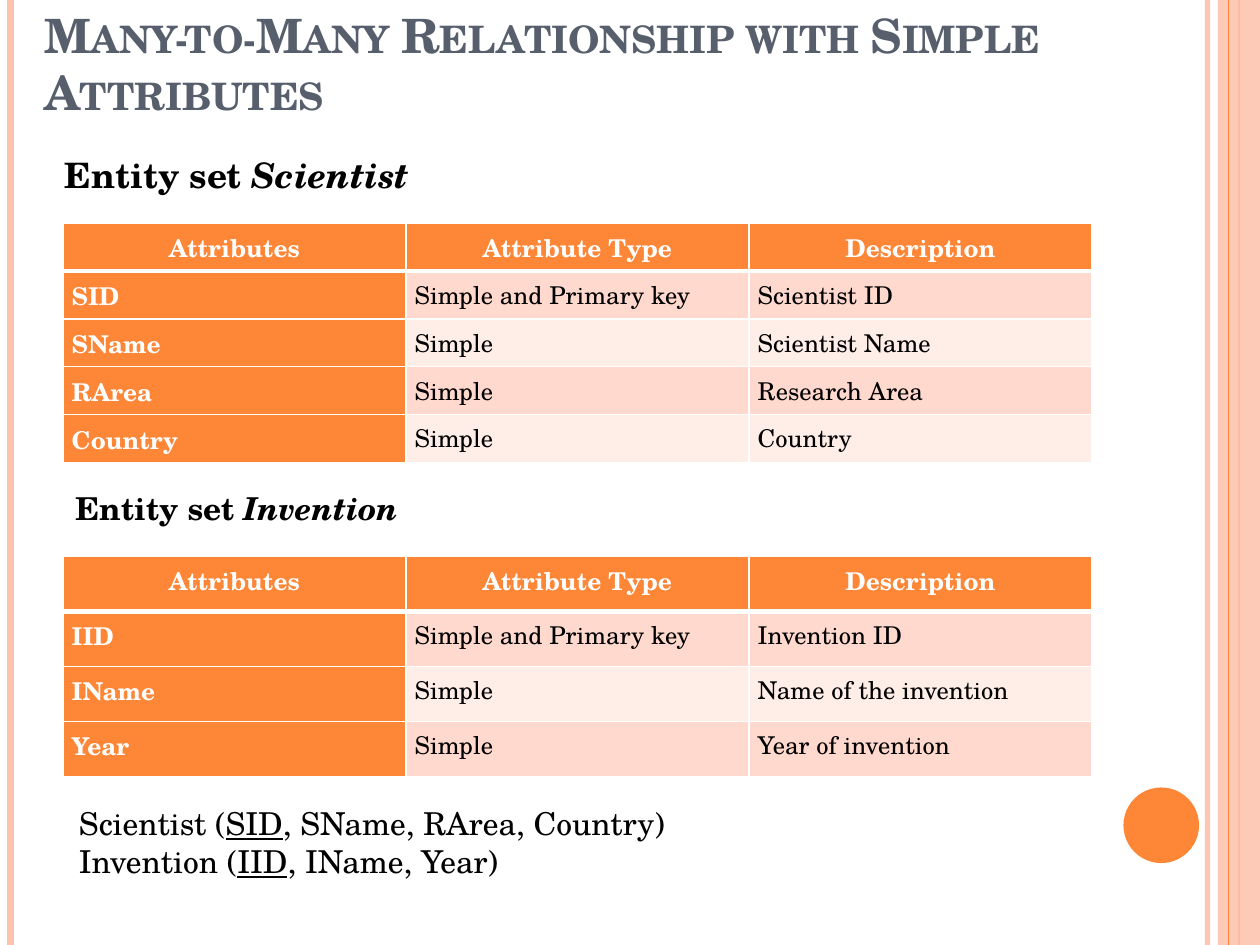
"""Build a slide on a many-to-many relationship with simple attributes."""
import pptx
import pptx.dml.color
import pptx.enum.shapes
import pptx.enum.text
import pptx.oxml
import pptx.oxml.ns
import pptx.util
from lxml import etree

Pt = pptx.util.Pt
qn = pptx.oxml.ns.qn
Align = pptx.enum.text.PP_ALIGN
Anchor = pptx.enum.text.MSO_ANCHOR
Fit = pptx.enum.text.MSO_AUTO_SIZE
Shape = pptx.enum.shapes.MSO_SHAPE
WIDE, HIGH = 720, 540
ORANGE, PEACH, BLACK, WHITE, SLATE = "FE8637", "FEC3AE", "000000", "FFFFFF", "575F6D"
BANDS = "FFD9CE", "FFEDE8"


def paint(fill, color):
    fill.solid()
    fill.fore_color.rgb = pptx.dml.color.RGBColor.from_string(color)


def fade(shape, alpha):
    if alpha < 100:
        tone = next(shape._element.spPr.iter(qn("a:srgbClr")))
        etree.SubElement(tone, qn("a:alpha"), val=str(alpha * 1000))


def apply(item, style):
    for name, value in style.items():
        setattr(item, name, value)


class Deck:
    def __init__(self):
        self.show = pptx.Presentation()
        self.show.slide_width, self.show.slide_height = Pt(WIDE), Pt(HIGH)
        self.slide = self.show.slides.add_slide(self.show.slide_layouts[5])
        self.font = "TeX Gyre Schola"

    def runs(self, para, parts, size, color=BLACK, **base):
        for text, extra in parts:
            run = para.add_run()
            run.text = text
            apply(run.font, {"name": self.font, "size": Pt(size), **base, **extra})
            paint(run.font.fill, color)

    def rule(self, x, width, color, alpha=100):
        line = self.slide.shapes.add_connector(
            pptx.enum.shapes.MSO_CONNECTOR.STRAIGHT, Pt(x), Pt(0), Pt(x), Pt(HIGH))
        line.line.width = Pt(width)
        paint(line.line.fill, color)
        fade(line, alpha)
        etree.SubElement(line._element.spPr, qn("a:effectLst"))

    def shape(self, kind, box, color, alpha=100):
        item = self.slide.shapes.add_shape(kind, *map(Pt, box))
        item.shadow.inherit = False
        paint(item.fill, color)
        item.line.fill.background()
        fade(item, alpha)

    def title(self, text, box):
        item = self.slide.shapes.title
        apply(item, dict(zip(("left", "top", "width", "height"), map(Pt, box))))
        apply(item.text_frame, {"vertical_anchor": Anchor.BOTTOM, "word_wrap": True,
                                "auto_size": Fit.NONE})
        para = item.text_frame.paragraphs[0]
        para.alignment = Align.LEFT
        self.runs(para, [(text, {})], 27, SLATE, bold=True)
        para.runs[0].font._element.set("cap", "small")

    def text(self, box, lines, size, wrap=False, **base):
        frame = self.slide.shapes.add_textbox(*map(Pt, box)).text_frame
        apply(frame, {"word_wrap": wrap, "auto_size": Fit.SHAPE_TO_FIT_TEXT})
        for i, parts in enumerate(lines):
            para = frame.add_paragraph() if i else frame.paragraphs[0]
            self.runs(para, parts, size, **base)

    def edge(self, cell, side, width):
        line = etree.SubElement(cell._tc.get_or_add_tcPr(), qn("a:ln" + side),
                                w=str(Pt(width)))
        fill = etree.SubElement(line, qn("a:solidFill"))
        etree.SubElement(fill, qn("a:srgbClr"), val=WHITE)

    def cell(self, cell, text, row, col):
        apply(cell, {"margin_left": Pt(5), "margin_right": Pt(5),
                     "margin_top": 0, "margin_bottom": 0})
        thick = {0: "B", 1: "T"}.get(row)
        for side in "LRTB":
            self.edge(cell, side, 3 if side == thick else 1)
        head = row == 0 or col == 0
        paint(cell.fill, ORANGE if head else BANDS[(row - 1) % 2])
        para = cell.text_frame.paragraphs[0]
        apply(para, {"alignment": Align.JUSTIFY if row else Align.CENTER,
                     "line_spacing": 1.15, "space_after": Pt(6)})
        self.runs(para, [(text, {})], 14, WHITE if head else BLACK, bold=head)

    def table(self, top, height, rows):
        rows = [("Attributes", "Attribute Type", "Description"), *rows]
        grid = self.slide.shapes.add_table(
            len(rows), 3, Pt(36), Pt(top), Pt(588), Pt(height * len(rows))).table
        for line in grid.rows:
            line.height = Pt(height)
        for r, row in enumerate(rows):
            for c, text in enumerate(row):
                self.cell(grid.cell(r, c), text, r, c)


def main():
    deck = Deck()
    deck.rule(690, 3, PEACH, 93)
    deck.rule(6, 4.5, PEACH)
    deck.rule(708, 1.5, ORANGE)
    deck.shape(Shape.RECTANGLE, (696, 0, 24, HIGH), PEACH, 87)
    deck.rule(702, 0.75, ORANGE)
    deck.shape(Shape.OVAL, (642, 450, 43.2, 43.2), ORANGE)
    deck.title("Many-to-Many Relationship with Simple Attributes", (18, 3.6, 666, 68.4))
    for name, box, size in (("Scientist", (30, 84, 213, 31.5), 20),
                            ("Invention", (36, 276, 201.5, 29), 18)):
        deck.text(box, [[("Entity set ", {}), (name, {"italic": True})]], size, bold=True)
    simple, key = "Simple", "Simple and Primary key"
    deck.table(127.5, 27.36, [
        ("SID", key, "Scientist ID"),
        ("SName", simple, "Scientist Name"),
        ("RArea", simple, "Research Area"),
        ("Country", simple, "Country")])
    deck.table(317.8, 31.5, [
        ("IID", key, "Invention ID"),
        ("IName", simple, "Name of the invention"),
        ("Year", simple, "Year of invention")])
    under = {"underline": True}
    deck.text((38, 456, 466, 51), [
        [("Scientist (", {}), ("SID", under), (", SName, RArea, Country)", {})],
        [("Invention (", {}), ("IID", under), (", IName, Year)", {})]], 18, wrap=True)
    deck.show.save("out.pptx")


if __name__ == "__main__":
    main()
